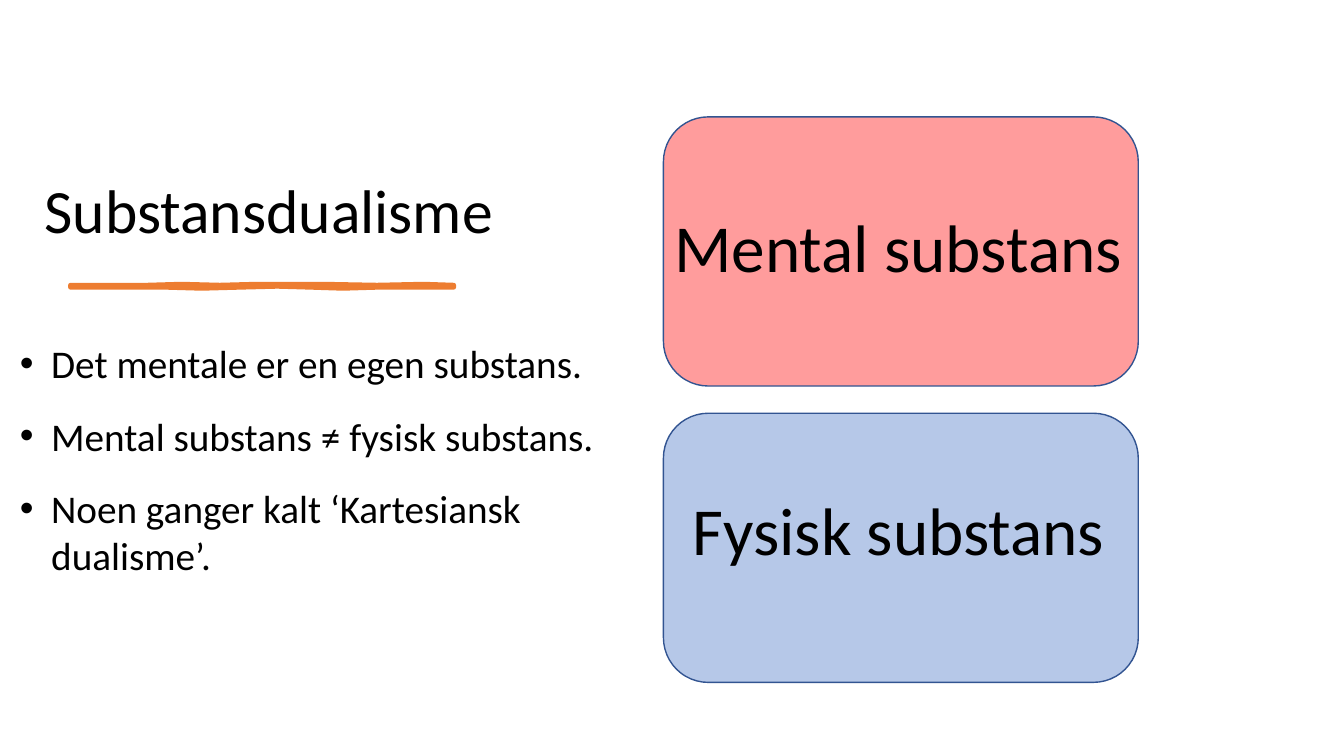
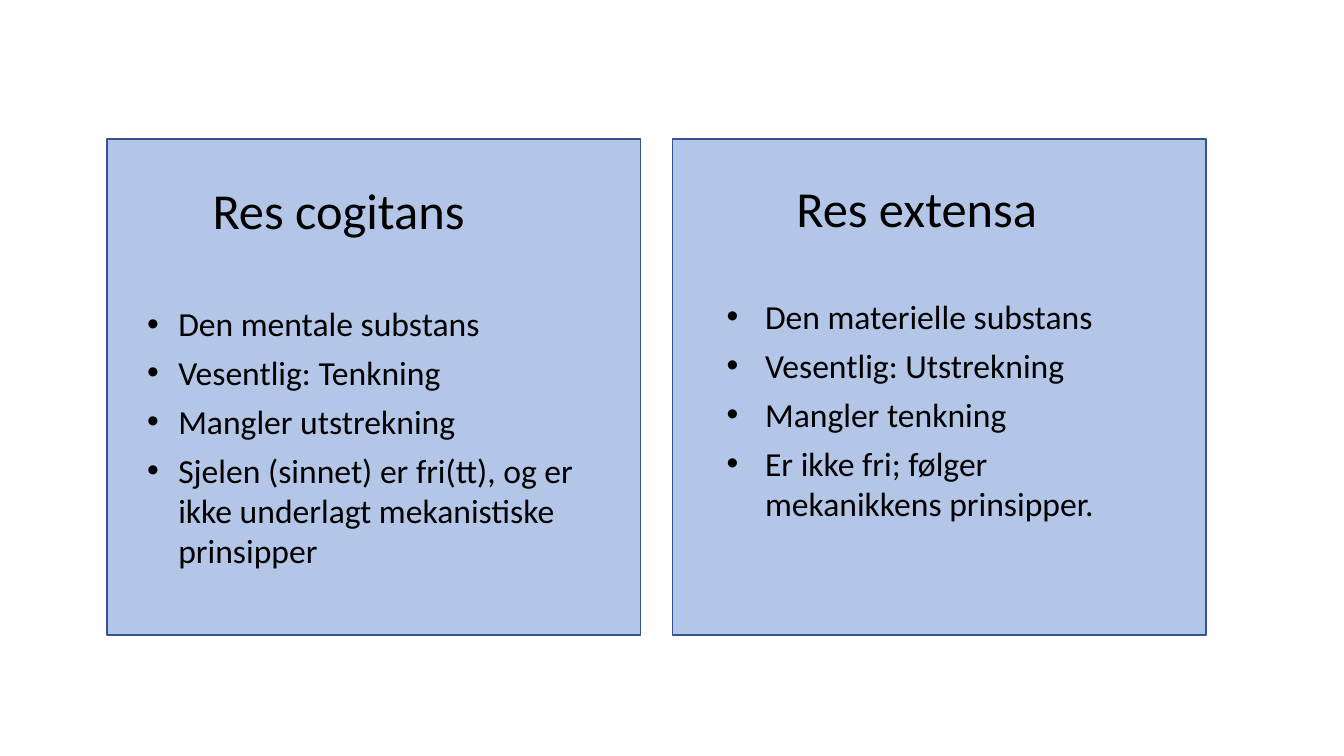
import pptx
import pptx.dml.color
import pptx.enum.shapes
import pptx.enum.text
import pptx.oxml.ns
import pptx.util
from lxml import etree

Inches = pptx.util.Inches
Pt = pptx.util.Pt
RGBColor = pptx.dml.color.RGBColor
ShapeType = pptx.enum.shapes.MSO_SHAPE
qn = pptx.oxml.ns.qn

FONT = "Calibri"
BLACK = RGBColor(0x00, 0x00, 0x00)
BLUE = RGBColor(0x44, 0x72, 0xC4)
RED = RGBColor(0xFF, 0x00, 0x00)
ORANGE = RGBColor(0xED, 0x7D, 0x31)
OUTLINE = RGBColor(0x32, 0x54, 0x91)


def add_panel(slide, shape_type, left, top, width, height, color, opacity):
    """Add an outlined panel; opacity is a percentage."""
    panel = slide.shapes.add_shape(
        shape_type, Inches(left), Inches(top), Inches(width), Inches(height))
    panel.shadow.inherit = False
    panel.fill.solid()
    panel.fill.fore_color.rgb = color
    color_element = panel.fill._xPr.find(qn("a:solidFill"))[0]
    etree.SubElement(color_element, qn("a:alpha"), val=str(opacity * 1000))
    panel.line.color.rgb = OUTLINE
    panel.line.width = Pt(1)


def add_text(slide, left, top, width, height, lines, size, indent=0, space_after=0):
    """Add a text box; an indent turns its lines into wrapped bullets."""
    box = slide.shapes.add_textbox(
        Inches(left), Inches(top), Inches(width), Inches(height))
    frame = box.text_frame
    frame.word_wrap = indent > 0
    for index, line in enumerate(lines):
        paragraph = frame.paragraphs[0] if index == 0 else frame.add_paragraph()
        if indent:
            properties = paragraph._p.get_or_add_pPr()
            properties.set("marL", str(Inches(indent)))
            properties.set("indent", str(-Inches(indent)))
            etree.SubElement(properties, qn("a:buFont"), typeface="Arial")
            etree.SubElement(properties, qn("a:buChar"), char="•")
            paragraph.space_after = Pt(space_after)
        run = paragraph.add_run()
        run.text = line
        run.font.name = FONT
        run.font.size = Pt(size)
        run.font.color.rgb = BLACK


presentation = pptx.Presentation()
presentation.slide_width = Inches(13.33)
presentation.slide_height = Inches(7.5)

# Slide 1: substance dualism
slide = presentation.slides.add_slide(presentation.slide_layouts[5])
title = slide.shapes.title
title.left, title.top = Inches(0.34), Inches(0.36)
title.width, title.height = Inches(5.13), Inches(2.14)
frame = title.text_frame
frame.word_wrap = True
frame.auto_size = pptx.enum.text.MSO_AUTO_SIZE.NONE
frame.vertical_anchor = pptx.enum.text.MSO_ANCHOR.BOTTOM
paragraph = frame.paragraphs[0]
paragraph.alignment = pptx.enum.text.PP_ALIGN.LEFT
paragraph.line_spacing = 0.9
paragraph.space_after = Pt(6)
run = paragraph.add_run()
run.text = "Substansdualisme"
run.font.name = FONT
run.font.size = Pt(44)
run.font.color.rgb = BLACK

brush_top = [(0.7, 2.83), (1.2, 2.83), (1.46, 2.83), (1.8, 2.82), (2.18, 2.83),
             (2.55, 2.82), (2.9, 2.82), (3.2, 2.82), (3.74, 2.83), (4.2, 2.82), (4.5, 2.83)]
brush_bottom = [(4.5, 2.85), (4.2, 2.85), (3.74, 2.85), (3.4, 2.86), (3.09, 2.85),
                (2.75, 2.84), (2.37, 2.85), (2.0, 2.86), (1.65, 2.85), (1.2, 2.85), (0.7, 2.85)]
brush_points = [(Inches(x), Inches(y)) for x, y in brush_top + brush_bottom]
builder = slide.shapes.build_freeform(*brush_points[0])
builder.add_line_segments(brush_points[1:], close=True)
brush = builder.convert_to_shape()
brush.shadow.inherit = False
brush.fill.solid()
brush.fill.fore_color.rgb = ORANGE
brush.line.color.rgb = ORANGE
brush.line.width = Pt(3.5)

add_text(slide, 0.1, 3.32, 6.03, 4.45, [
    "Det mentale er en egen substans.",
    "Mental substans ≠ fysisk substans.",
    "Noen ganger kalt ‘Kartesiansk dualisme’.",
], 28, indent=0.31, space_after=18)

for label, color, panel_top, left, top, width in [
    ("Mental substans", RED, 1.16, 6.59, 1.99, 4.69),
    ("Fysisk substans", BLUE, 4.1, 6.77, 4.8, 4.33),
]:
    add_panel(slide, ShapeType.ROUNDED_RECTANGLE, 6.58, panel_top, 4.71, 2.67, color, 39)
    add_text(slide, left, top, width, 0.91, [label], 48)

# Slide 2: the two substances side by side
slide = presentation.slides.add_slide(presentation.slide_layouts[6])
for panel_left, heading, heading_box, bullets, bullet_box, indent in [
    (1.06, "Res cogitans", (2.01, 1.73, 2.73, 0.71), [
        "Den mentale substans",
        "Vesentlig: Tenkning",
        "Mangler utstrekning",
        "Sjelen (sinnet) er fri(tt), og er ikke underlagt mekanistiske prinsipper",
    ], (1.36, 2.96, 4.69, 3.16), 0.31),
    (6.67, "Res extensa", (7.8, 1.71, 2.61, 0.71), [
        "Den materielle substans",
        "Vesentlig: Utstrekning",
        "Mangler tenkning",
        "Er ikke fri; følger mekanikkens prinsipper.",
    ], (7.11, 2.89, 4.43, 2.76), 0.38),
]:
    add_panel(slide, ShapeType.RECTANGLE, panel_left, 1.38, 5.29, 4.92, BLUE, 40)
    add_text(slide, *heading_box, [heading], 36)
    add_text(slide, *bullet_box, bullets, 24, indent=indent, space_after=6)

presentation.save("out.pptx")
